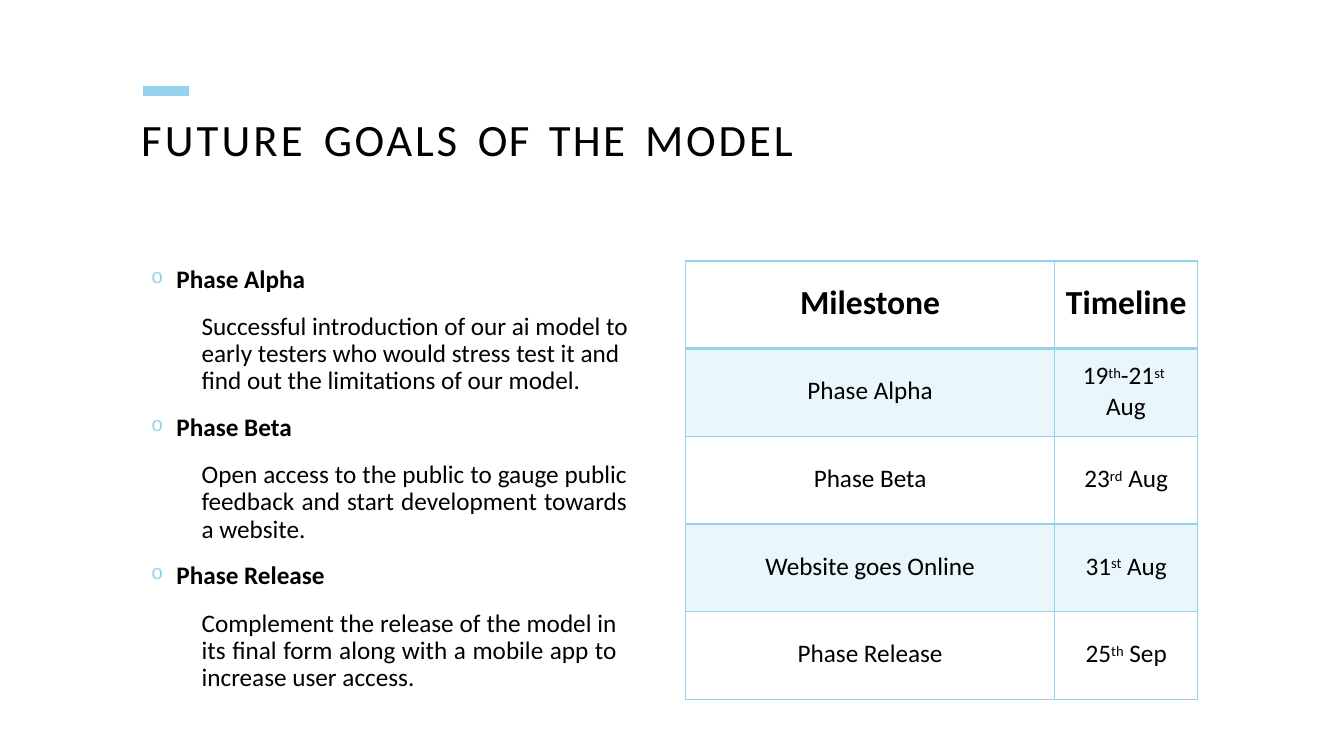
"""Build the slide on future goals: a phase list beside a milestone table."""
from lxml import etree
from pptx import Presentation
from pptx.dml.color import RGBColor
from pptx.enum import shapes, text
from pptx.oxml import ns
from pptx.util import Inches, Pt

BLUE, BLACK, FONT = "95D2EC", "000000", "Calibri"
TITLE = [("FUTURE", 2.2), ("GOALS", 1.9), ("OF", 1.1), ("THE", 1.6), ("MODEL", 2)]
TITLE_SIZE, WORD_GAP = 32, 5.4
PHASES = [
    ("Phase Alpha", "Successful introduction of our ai model to early testers who would "
     "stress test it and find out the limitations of our model.", text.PP_ALIGN.LEFT, 0),
    ("Phase Beta", "Open access to the public to gauge public feedback and start "
     "development towards a website.", text.PP_ALIGN.JUSTIFY, 0.04),
    ("Phase Release", "Complement the release of the model in its final form along with "
     "a mobile app to increase user access.", text.PP_ALIGN.JUSTIFY, 0.14),
]
MILESTONES = [
    ("Milestone", "Timeline"),
    ("Phase Alpha", "19^th^-21^st^ Aug"),
    ("Phase Beta", "23^rd^ Aug"),
    ("Website goes Online", "31^st^ Aug"),
    ("Phase Release", "25^th^ Sep"),
]
COLUMNS, ROW_HEIGHT = [3.66, 1.42], 0.87


def color(value):
    return RGBColor.from_string(value)


def add(parent, tag, **attributes):
    return etree.SubElement(parent, ns.qn(tag), attributes)


def write(para, words, size=18, bold=False, spacing=0):
    """Add words to a paragraph; parts between carets are superscript."""
    for number, part in enumerate(words.split("^")):
        span = para.add_run()
        span.text = part
        span.font.name, span.font.size, span.font.bold = FONT, Pt(size), bold
        span.font.color.rgb = color(BLACK)
        properties = span.font._element
        properties.set("spc", str(round(spacing * 100)))
        if number % 2:
            properties.set("baseline", "25000")


def indent(para, left, first=0, right=0):
    properties = para._p.get_or_add_pPr()
    for name, inches in (("marL", left), ("marR", right), ("indent", first)):
        properties.set(name, str(Inches(inches)))
    return properties


def place(box, left, top, width, height, inset):
    box.left, box.top = Inches(left), Inches(top)
    box.width, box.height = Inches(width), Inches(height)
    frame = box.text_frame
    frame.margin_left = frame.margin_right = frame.margin_bottom = 0
    frame.margin_top = Inches(inset)
    frame.vertical_anchor = text.MSO_ANCHOR.TOP
    frame.auto_size = text.MSO_AUTO_SIZE.NONE
    frame.word_wrap = True
    return frame


def add_accent(page):
    line = page.shapes.add_connector(shapes.MSO_CONNECTOR.STRAIGHT, Inches(1.42), Inches(0.9),
                                     Inches(1.87), Inches(0.9))
    line.line.color.rgb = color(BLUE)
    line.line.width = Pt(7)
    add(line._element.spPr, "a:effectLst")


def add_title(page):
    para = place(page.shapes.title, 1.39, 1.1, 7, 0.56, 0.01).paragraphs[0]
    para.alignment = text.PP_ALIGN.LEFT
    indent(para, 0.01)
    for number, (word, spacing) in enumerate(TITLE):
        if number:
            write(para, " ", size=TITLE_SIZE, spacing=WORD_GAP)
        write(para, word, size=TITLE_SIZE, spacing=spacing)


def add_phases(page):
    frame = place(page.placeholders[1], 1.49, 2.43, 4.77, 4.44, 0.18)
    for number, (name, detail, alignment, right) in enumerate(PHASES):
        para = frame.add_paragraph() if number else frame.paragraphs[0]
        para.space_before = Pt(11.7 if number else 0)
        properties = indent(para, 0.26, -0.25)
        add(add(properties, "a:buClr"), "a:srgbClr", val=BLUE)
        add(properties, "a:buSzPct", val="81000")
        add(properties, "a:buFont", typeface="Courier New")
        add(properties, "a:buChar", char="o")
        write(para, name, bold=True)

        para = frame.add_paragraph()
        para.alignment = alignment
        para.space_before, para.line_spacing = Pt(14.4), Pt(19.4)
        add(indent(para, 0.51, right=right), "a:buNone")
        write(para, detail)


def format_cell(cell, row):
    properties = cell._tc.get_or_add_tcPr()
    widths = {"a:lnL": 1, "a:lnR": 1, "a:lnT": 2.25 if row == 1 else 1,
              "a:lnB": 2.25 if row == 0 else 1}
    for tag, width in widths.items():
        line = add(properties, tag, w=str(Pt(width)))
        add(add(line, "a:solidFill"), "a:srgbClr", val=BLUE)
    if row % 2:
        cell.fill.solid()
        cell.fill.fore_color.rgb = color(BLUE)
        add(properties.find(ns.qn("a:solidFill"))[0], "a:alpha", val="20000")
    else:
        cell.fill.background()
    cell.margin_left = cell.margin_right = cell.margin_bottom = 0
    cell.vertical_anchor = text.MSO_ANCHOR.TOP


def add_milestones(page):
    table = page.shapes.add_table(len(MILESTONES), len(COLUMNS), Inches(6.8), Inches(2.59),
                                  Inches(sum(COLUMNS)),
                                  Inches(ROW_HEIGHT * len(MILESTONES))).table
    table.first_row = table.horz_banding = False
    for column, width in zip(table.columns, COLUMNS):
        column.width = Inches(width)
    for row, entries in enumerate(MILESTONES):
        table.rows[row].height = Inches(ROW_HEIGHT)
        header = row == 0
        for column, entry in enumerate(entries):
            cell = table.cell(row, column)
            format_cell(cell, row)
            para = cell.text_frame.paragraphs[0]
            if "-" in entry:
                cell.margin_top = Inches(0.12)
                indent(para, 0.51, -0.23)
            else:
                cell.margin_top = Inches(0.21 if header else 0.27)
                para.alignment = text.PP_ALIGN.CENTER
            write(para, entry, size=24 if header else 18, bold=header)


def main():
    deck = Presentation()
    deck.slide_width, deck.slide_height = Inches(13.33), Inches(7.5)
    page = deck.slides.add_slide(deck.slide_layouts[1])
    add_accent(page)
    add_title(page)
    add_phases(page)
    add_milestones(page)
    deck.save("out.pptx")


if __name__ == "__main__":
    main()
